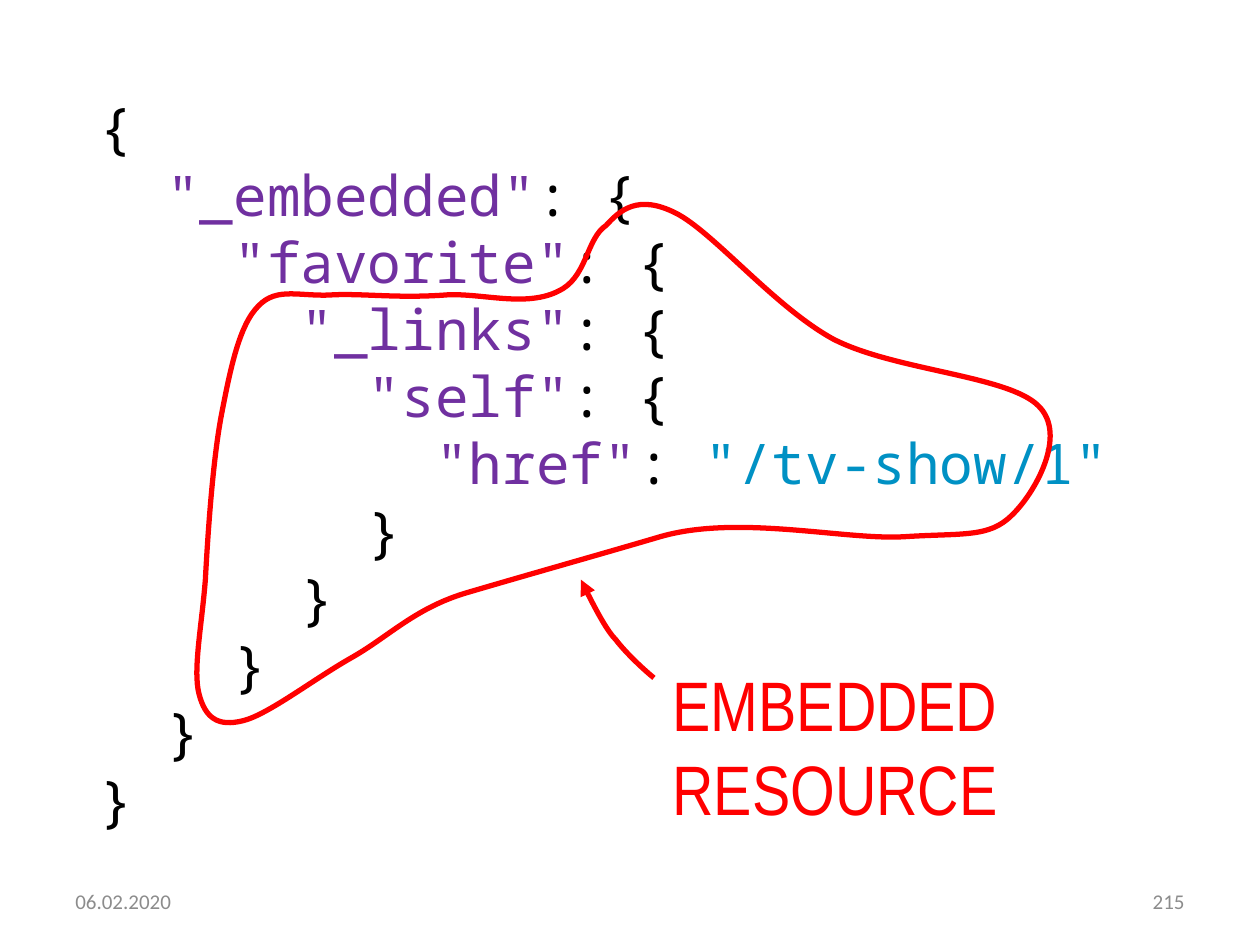
from dataclasses import dataclass

from lxml.etree import SubElement
from pptx import Presentation
from pptx.dml.color import RGBColor
from pptx.enum.text import MSO_ANCHOR, PP_ALIGN
from pptx.oxml.ns import qn
from pptx.util import Cm, Pt


@dataclass(frozen=True)
class Theme:
    """Hold the colours, fonts and type sizes."""
    black: str = "000000"
    key: str = "7030A0"
    value: str = "0091C4"
    red: str = "FF0000"
    grey: str = "8C8C8C"
    mono: str = "Noto Sans Mono"
    narrow: str = "Arial Narrow"
    plain: str = "Calibri"
    code: int = 32
    label: int = 40
    foot: int = 12
    stroke: int = 3


class Page:
    """Draw styled elements on the current slide."""

    def __init__(self, slide, theme):
        """Keep the slide and its theme."""
        self.slide, self.theme = slide, theme

    def text(self, box, lines, face, size, align=PP_ALIGN.LEFT, **frame):
        """Add a text box with lines of (text, colour) runs."""
        shape = self.slide.shapes.add_textbox(*map(Cm, box))
        body = shape.text_frame
        for name, item in {"word_wrap": True, **frame}.items():
            setattr(body, name, item)
        for row, line in enumerate(lines):
            para = body.add_paragraph() if row else body.paragraphs[0]
            para.alignment = align
            for words, ink in line:
                run = para.add_run()
                run.text = words
                for name, item in {"name": face, "size": Pt(size)}.items():
                    setattr(run.font, name, item)
                run.font.color.rgb = RGBColor.from_string(ink)

    def curve(self, points, close=False, arrow=False):
        """Add a Bezier outline from points in hundredths of an inch."""
        first, *rest = points
        build = self.slide.shapes.build_freeform(*first, scale=Cm(0.0254))
        build.add_line_segments(rest, close=close)
        shape = build.convert_to_shape()
        steps = list(shape.element.iter(qn("a:lnTo")))
        for at in range(0, len(rest), 3):
            bend = SubElement(steps[at].getparent(), qn("a:cubicBezTo"))
            steps[at].addprevious(bend)
            for step in steps[at:at + 3]:
                bend.append(step[0])
                step.getparent().remove(step)
        shape.shadow.inherit = False
        shape.fill.background()
        shape.line.color.rgb = RGBColor.from_string(self.theme.red)
        shape.line.width = Pt(self.theme.stroke)
        if arrow:
            edge = shape.element.spPr.find(qn("a:ln"))
            SubElement(edge, qn("a:tailEnd"), type="triangle")


def main():
    """Build the slide and save it."""
    deck = Presentation()
    deck.slide_width, deck.slide_height = Cm(25.4), Cm(19.05)
    theme = Theme()
    page = Page(deck.slides.add_slide(deck.slide_layouts[6]), theme)

    feet = [(1.27, "06.02.2020", PP_ALIGN.LEFT), (18.21, "215", PP_ALIGN.RIGHT)]
    for left, words, align in feet:
        page.text((left, 17.65, 5.92, 1.02), [[(words, theme.grey)]],
                  theme.plain, theme.foot, align,
                  vertical_anchor=MSO_ANCHOR.MIDDLE)

    keys = ['"_embedded"', '"favorite"', '"_links"', '"self"']
    code = [[("{", theme.black)]]
    for depth, key in enumerate(keys, 1):
        code.append([("  " * depth + key, theme.key), (": {", theme.black)])
    code.append([("  " * 5 + '"href"', theme.key), (":", theme.black),
                 (' "/tv-show/1"', theme.value)])
    code += [[("  " * depth + "}", theme.black)] for depth in range(4, -1, -1)]
    page.text((0, 1.68, 25.4, 15.29), code, theme.mono, theme.code,
              vertical_anchor=MSO_ANCHOR.MIDDLE, margin_left=Cm(2))

    page.text((13.31, 13.21, 9.78, 3.63), [[("EMBEDDED RESOURCE", theme.red)]],
              theme.narrow, theme.label)

    page.curve([(519, 538), (508, 529), (495, 516), (489, 508),
                (482, 501), (469, 477), (461, 460)], arrow=True)
    page.curve([
        (481, 179), (492, 167), (506, 154), (536, 169),
        (566, 184), (614, 243), (661, 269), (709, 294), (800, 298), (824, 322),
        (848, 345), (821, 392), (803, 409), (785, 427), (764, 423), (718, 426),
        (671, 429), (586, 408), (524, 426), (473, 441), (423, 455), (372, 470),
        (330, 482), (309, 505), (279, 522), (249, 539), (213, 567), (193, 572),
        (173, 577), (163, 570), (158, 551), (153, 532), (160, 498), (163, 460),
        (165, 423), (169, 364), (176, 328), (183, 292), (190, 258), (205, 243),
        (220, 227), (239, 236), (265, 234), (290, 233), (317, 237), (356, 234),
        (386, 233), (421, 245), (447, 229), (466, 217), (466, 189), (481, 179),
    ], close=True)
    deck.save("out.pptx")


if __name__ == "__main__":
    main()
